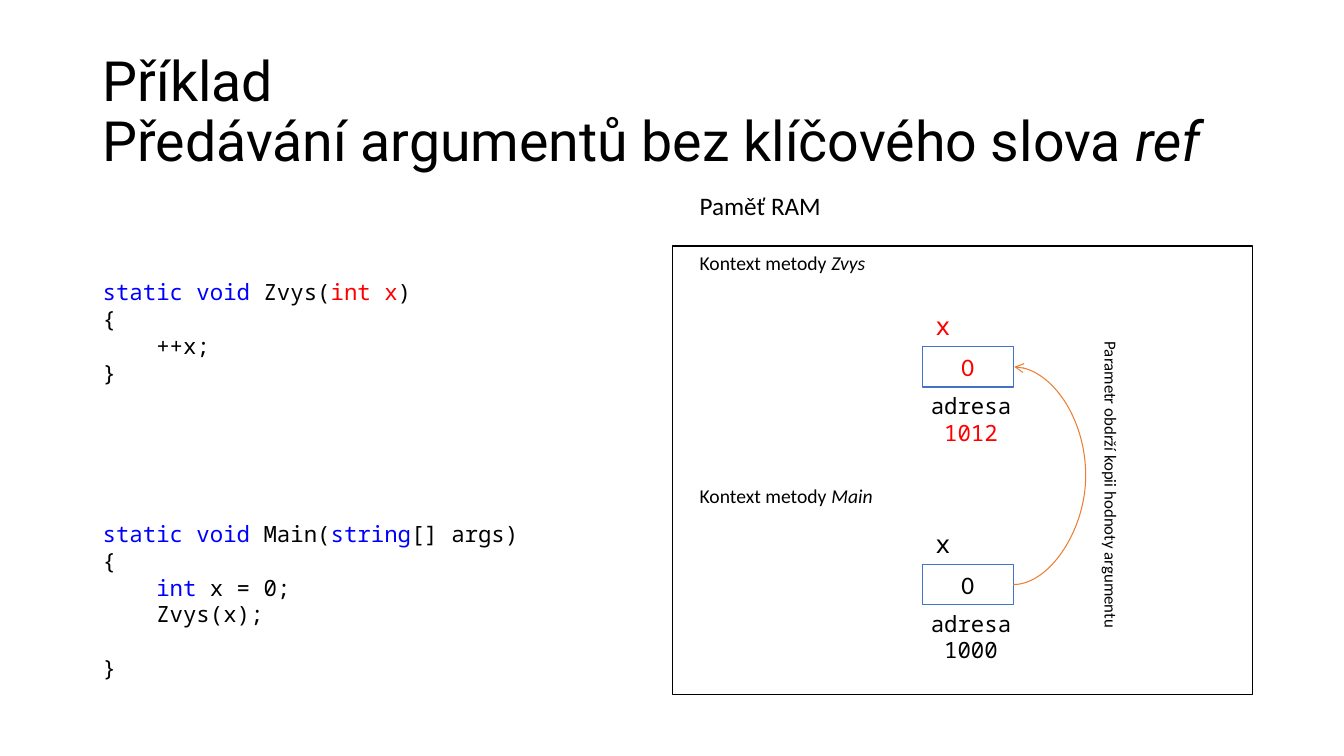
"""Build the slide on passing arguments without the ref keyword."""
from lxml import etree
from pptx import Presentation, util as u
from pptx.dml.color import RGBColor
from pptx.enum import shapes, text
from pptx.oxml.ns import qn

BLACK = RGBColor(0, 0, 0)
WHITE = RGBColor(255, 255, 255)
RED = RGBColor(255, 0, 0)
BLUE = RGBColor(0, 0, 255)
EDGE = RGBColor(0x44, 0x72, 0xC4)
CURVE = RGBColor(0xED, 0x7D, 0x31)
SANS, MONO, HEAD = "Calibri", "Noto Sans Mono", "Roboto"
MID = text.PP_ALIGN.CENTER
CELL = u.Inches(0.1)

deck = Presentation()
deck.slide_width, deck.slide_height = u.Inches(13.33), u.Inches(7.5)
slide = deck.slides.add_slide(deck.slide_layouts[6])


def write(place, lines, size, font, align=text.PP_ALIGN.LEFT):
    """Fill a new text box, given in cells, or a shape with coloured runs."""
    if isinstance(place, tuple):
        shape = slide.shapes.add_textbox(*[int(n * CELL) for n in place])
    else:
        shape = place
    frame = shape.text_frame
    frame.word_wrap = True
    for i, line in enumerate(lines):
        para = frame.paragraphs[0] if i == 0 else frame.add_paragraph()
        para.alignment = align
        for words, tint, *slant in line:
            run = para.add_run()
            run.text = words
            run.font.size, run.font.name = u.Pt(size), font
            run.font.color.rgb = tint
            if slant:
                run.font.italic = True
    return shape


def block(col, row, wide, high, edge):
    """Add a white rectangle with a thin edge, measured in cells."""
    shape = slide.shapes.add_shape(
        shapes.MSO_SHAPE.RECTANGLE, *[int(n * CELL) for n in (col, row, wide, high)])
    shape.shadow.inherit = False
    shape.fill.solid()
    shape.fill.fore_color.rgb = WHITE
    shape.line.color.rgb = edge
    shape.line.width = u.Pt(1)
    return shape


block(66.7, 24.4, 57.5, 44.5, BLACK)

title = write((9.2, 4, 115, 14.5), [[("Příklad", BLACK)]], 39.6, HEAD)
title.text_frame.vertical_anchor = text.MSO_ANCHOR.MIDDLE
head = title.text_frame.paragraphs[0]
head.line_spacing = 0.9
head.add_line_break()
for words, slant in (("Předávání argumentů bez klíčového slova ", False), ("ref", True)):
    run = head.add_run()
    run.text = words
    run.font.size, run.font.name, run.font.italic = u.Pt(39.6), HEAD, slant
    run.font.color.rgb = BLACK

write((68.4, 18.4, 18.6, 4), [[("Paměť RAM", BLACK)]], 18, SANS)

code = write((9.2, 27.1, 57.5, 41.4), [
    [("static void ", BLUE), ("Zvys(", BLACK), ("int x", RED), (")", BLACK)],
    [("{", BLACK)],
    [("    ++x;", BLACK)],
    [("}", BLACK)],
    [("static void", BLUE), (" Main(", BLACK), ("string", BLUE), ("[] args)", BLACK)],
    [("{", BLACK)],
    [("    ", BLACK), ("int", BLUE), (" x = 0;", BLACK)],
    [("    Zvys(x);", BLACK)],
    [("}", BLACK)],
], 16, MONO)
LINE = 19.2
for i, gap in ((4, 5), (8, 1)):
    code.text_frame.paragraphs[i].space_before = u.Pt(gap * LINE)

vars = []
for name, label, row, spot, tint in (
        ("Main", 47.5, 56, "1000", BLACK), ("Zvys", 24.4, 34.4, "1012", RED)):
    write((68.4, label, 31.2, 3.4),
          [[("Kontext metody ", BLACK), (name, BLACK, True)]], 14, SANS)
    var = block(91.5, row, 9, 4, EDGE)
    var.text_frame.vertical_anchor = text.MSO_ANCHOR.MIDDLE
    write(var, [[("0", tint)]], 18, SANS, MID)
    write((91.8, row - 4.1, 9, 4), [[("x", tint)]], 18, MONO)
    write((88.2, row + 4, 16.2, 3.7),
          [[("adresa ", BLACK), (spot, tint)]], 16, MONO, MID)
    vars.append(var)

note = write((94.6, 46.6, 31.2, 3),
             [[("Parametr obdrží kopii hodnoty argumentu", BLACK)]], 12, SANS, MID)
note.rotation = 90

main, zvys = vars
start = main.left + main.width
link = slide.shapes.add_connector(
    shapes.MSO_CONNECTOR.CURVE, start, main.top + main.height // 2,
    start + CELL // 10, zvys.top + zvys.height // 2)
link.line.color.rgb = CURVE
link.line.width = u.Pt(0.75)
etree.SubElement(link.line._get_or_add_ln(), qn("a:tailEnd"), type="arrow")
bend = link._element.spPr.find(qn("a:prstGeom")).get_or_add_avLst()
etree.SubElement(bend, qn("a:gd"), name="adj1", fmla="val 7300000")
etree.SubElement(link._element.spPr, qn("a:effectLst"))

deck.save("out.pptx")
